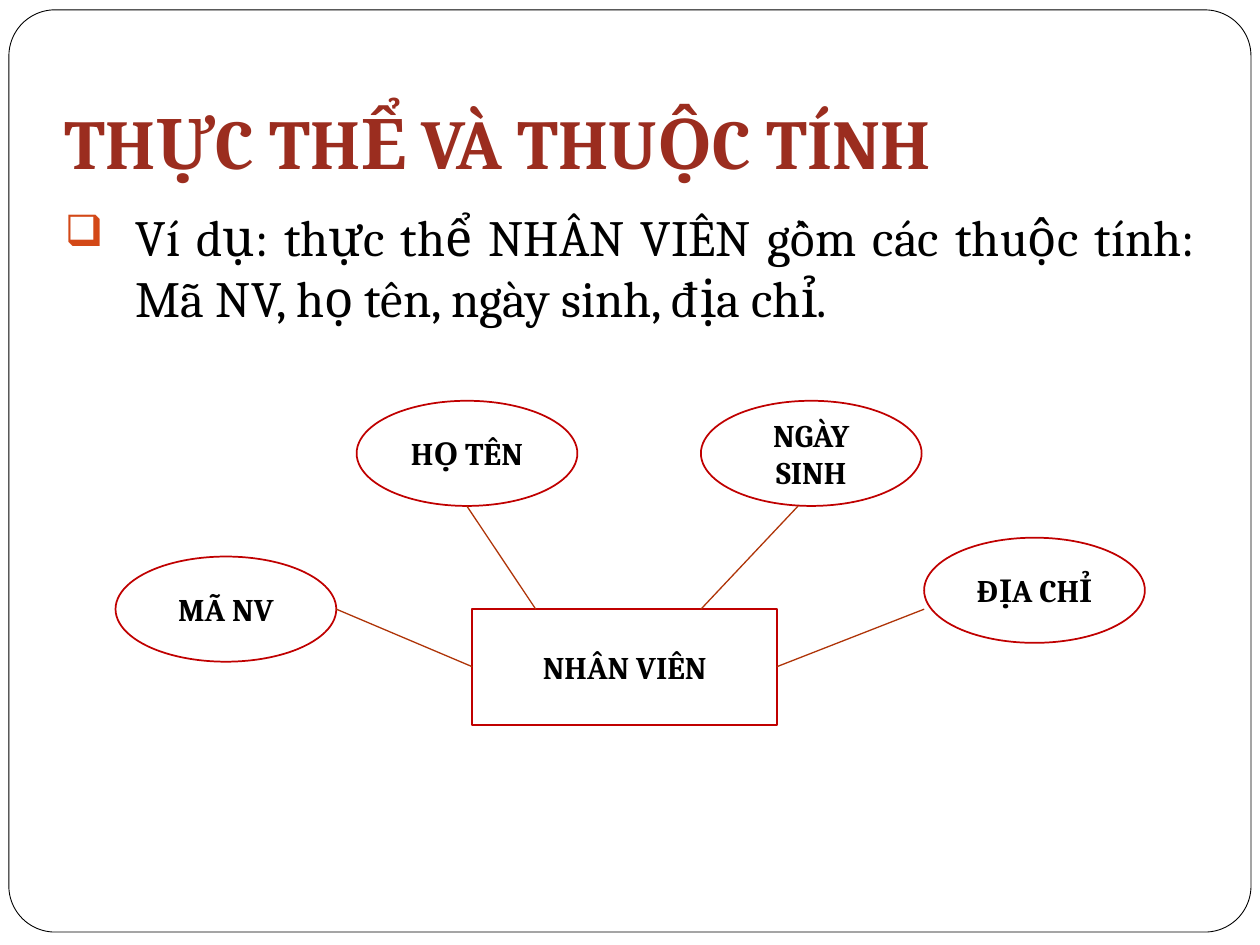
from lxml import etree
from pptx import Presentation
from pptx.dml.color import RGBColor
from pptx.enum.shapes import MSO_CONNECTOR, MSO_SHAPE
from pptx.enum.text import MSO_ANCHOR, PP_ALIGN
from pptx.oxml.ns import qn
from pptx.util import Cm, Pt

RECTANGLE, ROUNDED, OVAL = MSO_SHAPE.RECTANGLE, MSO_SHAPE.ROUNDED_RECTANGLE, MSO_SHAPE.OVAL
STRAIGHT = MSO_CONNECTOR.STRAIGHT
TOP, MIDDLE, BOTTOM = MSO_ANCHOR.TOP, MSO_ANCHOR.MIDDLE, MSO_ANCHOR.BOTTOM
LEFT, CENTER, JUSTIFY = PP_ALIGN.LEFT, PP_ALIGN.CENTER, PP_ALIGN.JUSTIFY

WHITE = RGBColor(0xFF, 0xFF, 0xFF)
BLACK = RGBColor(0x00, 0x00, 0x00)
TITLE_RED = RGBColor(0x9B, 0x2D, 0x1F)
OUTLINE_RED = RGBColor(0xC0, 0x00, 0x00)
LINK_RED = RGBColor(0xAF, 0x34, 0x08)
BULLET_ORANGE = RGBColor(0xD3, 0x48, 0x17)

FONT = "Cambria"
OVAL_SIZE = (4.45, 2.12)
ENTITY_BOX = (9.52, 12.28, 6.15, 2.33)
ATTRIBUTES = [
    ("HỌ TÊN", 7.19, 8.08),
    ("MÃ NV", 2.33, 11.22),
    ("NGÀY SINH", 14.13, 8.08),
    ("ĐỊA CHỈ", 18.63, 10.84),
]
LINKS = [
    (9.52, 13.44, 6.78, 12.28),
    (10.8, 12.28, 9.41, 10.2),
    (14.13, 12.28, 16.09, 10.2),
    (15.66, 13.44, 18.63, 12.28),
]


def write_text(shape, text, size=18, color=BLACK, bold=False, align=LEFT,
               anchor=TOP, bottom=0.13, bullet=None):
    frame = shape.text_frame
    frame.word_wrap = True
    frame.vertical_anchor = anchor
    frame.margin_left = frame.margin_right = Cm(0.25)
    frame.margin_top, frame.margin_bottom = Cm(0.13), Cm(bottom)
    paragraph = frame.paragraphs[0]
    paragraph.alignment = align
    if bullet:
        add_bullet(paragraph, bullet)
    run = paragraph.add_run()
    run.text = text
    run.font.name = FONT
    run.font.size = Pt(size)
    run.font.bold = bold
    run.font.color.rgb = color


def add_bullet(paragraph, character):
    properties = paragraph._p.get_or_add_pPr()
    properties.set("marL", str(Cm(1.43)))
    properties.set("indent", str(-Cm(1.43)))
    color = etree.SubElement(properties, qn("a:buClr"))
    etree.SubElement(color, qn("a:srgbClr"), val=str(BULLET_ORANGE))
    etree.SubElement(properties, qn("a:buSzPct"), val="85000")
    etree.SubElement(properties, qn("a:buChar"), char=character)


def add_outlined_shape(slide, kind, box, line_color=OUTLINE_RED, line_width=1):
    shape = slide.shapes.add_shape(kind, *map(Cm, box))
    shape.shadow.inherit = False
    shape.fill.solid()
    shape.fill.fore_color.rgb = WHITE
    shape.line.color.rgb = line_color
    shape.line.width = Pt(line_width)
    return shape


def add_node(slide, kind, box, label):
    shape = add_outlined_shape(slide, kind, box)
    write_text(shape, label, bold=True, align=CENTER, anchor=MIDDLE)


def add_link(slide, ends):
    connector = slide.shapes.add_connector(STRAIGHT, *map(Cm, ends))
    connector.line.color.rgb = LINK_RED
    connector.line.width = Pt(0.75)
    etree.SubElement(connector._element.spPr, qn("a:effectLst"))


def add_text_box(slide, box, text, **text_format):
    write_text(slide.shapes.add_textbox(*map(Cm, box)), text, **text_format)


def main():
    presentation = Presentation()
    presentation.slide_width, presentation.slide_height = Cm(25.4), Cm(19.05)
    slide = presentation.slides.add_slide(presentation.slide_layouts[6])

    frame = add_outlined_shape(slide, ROUNDED, (0.18, 0.2, 25.04, 18.59), BLACK, 0.5)
    frame.adjustments[0] = 0.05
    add_text_box(slide, (1.06, 0.76, 23.28, 3.18), "THỰC THỂ VÀ THUỘC TÍNH",
                 size=40, color=TITLE_RED, bold=True, anchor=BOTTOM, bottom=0.25)
    add_text_box(slide, (1.06, 4.02, 23.28, 12.7),
                 "Ví dụ: thực thể NHÂN VIÊN gồm các thuộc tính: "
                 "Mã NV, họ tên, ngày sinh, địa chỉ.",
                 size=29, align=JUSTIFY, bullet="❑")

    add_node(slide, RECTANGLE, ENTITY_BOX, "NHÂN VIÊN")
    for label, left, top in ATTRIBUTES:
        add_node(slide, OVAL, (left, top, *OVAL_SIZE), label)
    for ends in LINKS:
        add_link(slide, ends)

    presentation.save("out.pptx")


if __name__ == "__main__":
    main()
